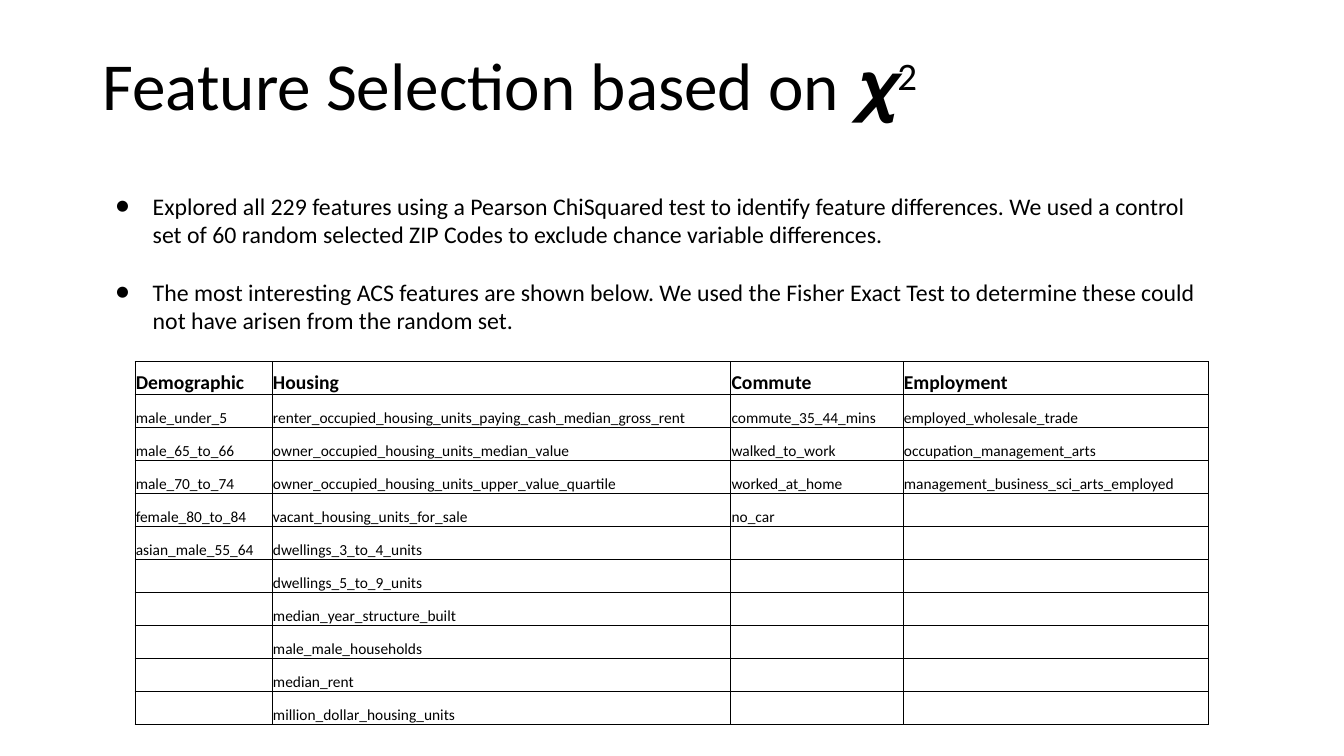
from dataclasses import dataclass

from lxml import etree
from pptx import Presentation
from pptx.dml.color import RGBColor
from pptx.enum.text import MSO_ANCHOR, MSO_AUTO_SIZE, PP_ALIGN
from pptx.oxml.ns import qn
from pptx.util import Pt

TOP, BOTTOM = MSO_ANCHOR.TOP, MSO_ANCHOR.BOTTOM
LEFT = PP_ALIGN.LEFT
NO_AUTOFIT = MSO_AUTO_SIZE.NONE
TITLE_ONLY = 5
FONT = "Calibri"
COLORS = {"ink": "000000"}
ROW_HEIGHT = 23.57
BORDER_WIDTH = 0.75


@dataclass
class FeatureGroup:
    heading: str
    width: float
    features: list[str]


FINDINGS = [
    "Explored all 229 features using a Pearson ChiSquared test to identify feature differences. "
    "We used a control set of 60 random selected ZIP Codes to exclude chance variable differences.",
    "The most interesting ACS features are shown below. We used the Fisher Exact Test to "
    "determine these could not have arisen from the random set.",
]

GROUPS = [
    FeatureGroup("Demographic", 98, [
        "male_under_5", "male_65_to_66", "male_70_to_74", "female_80_to_84", "asian_male_55_64",
    ]),
    FeatureGroup("Housing", 327.6, [
        "renter_occupied_housing_units_paying_cash_median_gross_rent",
        "owner_occupied_housing_units_median_value",
        "owner_occupied_housing_units_upper_value_quartile",
        "vacant_housing_units_for_sale",
        "dwellings_3_to_4_units",
        "dwellings_5_to_9_units",
        "median_year_structure_built",
        "male_male_households",
        "median_rent",
        "million_dollar_housing_units",
    ]),
    FeatureGroup("Commute", 123.1, [
        "commute_35_44_mins", "walked_to_work", "worked_at_home", "no_car",
    ]),
    FeatureGroup("Employment", 218.2, [
        "employed_wholesale_trade",
        "occupation_management_arts",
        "management_business_sci_arts_employed",
    ]),
]


def set_font(paragraph, size: float, bold: bool = False) -> None:
    font = paragraph.font
    font.name, font.size, font.bold = FONT, Pt(size), bold
    font.color.rgb = RGBColor.from_string(COLORS["ink"])


def set_margins(target, left: float, top: float, right: float, bottom: float) -> None:
    target.margin_left, target.margin_top = Pt(left), Pt(top)
    target.margin_right, target.margin_bottom = Pt(right), Pt(bottom)


def add_color(parent) -> None:
    etree.SubElement(parent, qn("a:srgbClr"), val=COLORS["ink"])


def add_bullet(paragraph) -> None:
    properties = paragraph._p.get_or_add_pPr()
    properties.set("marL", str(Pt(36)))
    properties.set("indent", str(Pt(-26.64)))
    add_color(etree.SubElement(properties, qn("a:buClr")))
    etree.SubElement(properties, qn("a:buFont"), typeface=FONT)
    etree.SubElement(properties, qn("a:buChar"), char="●")


def add_borders(cell) -> None:
    properties = cell._tc.get_or_add_tcPr()
    for side in ("a:lnL", "a:lnR", "a:lnT", "a:lnB"):
        border = etree.SubElement(properties, qn(side), w=str(Pt(BORDER_WIDTH)))
        add_color(etree.SubElement(border, qn("a:solidFill")))


def fill_cell(cell, text: str, is_heading: bool) -> None:
    add_borders(cell)
    cell.fill.background()
    cell.vertical_anchor = BOTTOM
    set_margins(cell, 0.5, 0.5, 0.5, 0)
    cell.text = text
    set_font(cell.text_frame.paragraphs[0], 14 if is_heading else 11, is_heading)


def add_title(slide) -> None:
    title = slide.shapes.title
    title.left, title.top, title.width, title.height = Pt(66), Pt(24), Pt(824.4), Pt(90)
    frame = title.text_frame
    frame.word_wrap, frame.auto_size, frame.vertical_anchor = True, NO_AUTOFIT, TOP
    set_margins(frame, 7.2, 7.2, 7.2, 7.2)
    heading = frame.paragraphs[0]
    heading.alignment = LEFT
    heading.add_run().text = "Feature Selection based on 𝝌"
    exponent = heading.add_run()
    exponent.text = "2"
    exponent._r.get_or_add_rPr().set("baseline", "30000")
    set_font(heading, 48)


def add_findings(slide) -> None:
    frame = slide.shapes.add_textbox(Pt(66), Pt(133.2), Pt(812.2), Pt(116.6)).text_frame
    frame.word_wrap = True
    set_margins(frame, 7.2, 3.6, 7.2, 3.6)
    for index, finding in enumerate(FINDINGS):
        paragraph = frame.add_paragraph() if index else frame.paragraphs[0]
        paragraph.text = finding
        add_bullet(paragraph)
        paragraph.space_before = Pt(20.5 if index else 0)
        set_font(paragraph, 17)


def add_feature_table(slide) -> None:
    row_count = 1 + max(len(group.features) for group in GROUPS)
    width = sum(group.width for group in GROUPS)
    table = slide.shapes.add_table(
        row_count, len(GROUPS), Pt(96.5), Pt(258.2), Pt(width), Pt(row_count * ROW_HEIGHT)
    ).table
    table.first_row = table.horz_banding = False
    for row in table.rows:
        row.height = Pt(ROW_HEIGHT)
    for column, group in enumerate(GROUPS):
        table.columns[column].width = Pt(group.width)
        entries = [group.heading, *group.features]
        for row in range(row_count):
            text = entries[row] if row < len(entries) else ""
            fill_cell(table.cell(row, column), text, row == 0)


def main() -> None:
    presentation = Presentation()
    presentation.slide_width, presentation.slide_height = Pt(960), Pt(540)
    slide = presentation.slides.add_slide(presentation.slide_layouts[TITLE_ONLY])
    # Feature table
    add_feature_table(slide)
    # Bulleted findings
    add_findings(slide)
    # Title with the chi-squared exponent
    add_title(slide)
    presentation.save("out.pptx")


if __name__ == "__main__":
    main()
